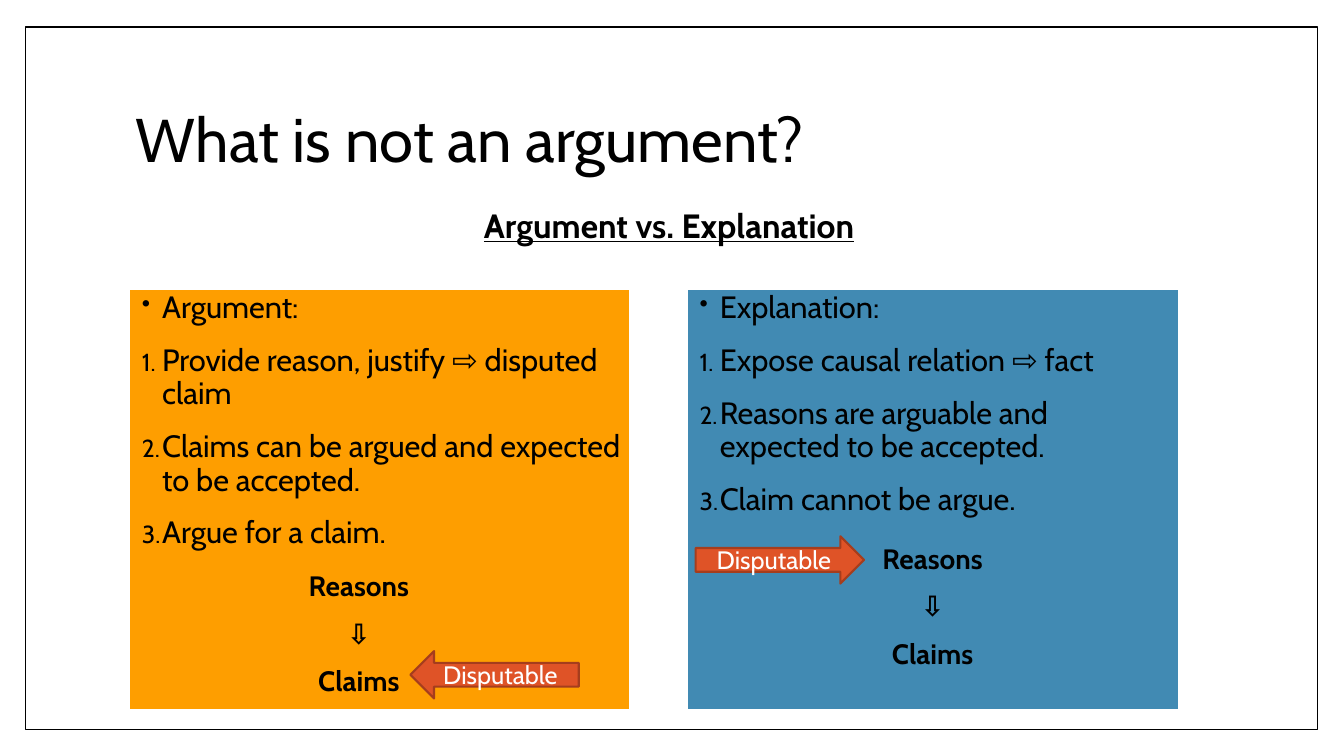
"""Build the slide that contrasts an argument with an explanation."""
from lxml import etree
from pptx import Presentation, util as u
from pptx.dml.color import RGBColor
from pptx.enum import shapes, text
from pptx.oxml import ns

COLORS = {
    "black": "000000",
    "white": "FFFFFF",
    "orange": "FE9E00",
    "blue": "418AB3",
    "red": "DF5327",
    "dark_red": "A53D1D",
}
FLOW = ["Reasons", "⇩", "Claims"]


def color(name):
    """Return the named colour."""
    return RGBColor.from_string(COLORS[name])


def add_bullet(paragraph, tag, **attributes):
    """Give a paragraph a hanging bullet or number."""
    properties = paragraph._p.get_or_add_pPr()
    properties.set("marL", str(u.Inches(0.25)))
    properties.set("indent", str(u.Inches(-0.2)))
    bullet_color = etree.SubElement(properties, ns.qn("a:buClr"))
    etree.SubElement(bullet_color, ns.qn("a:srgbClr"), val=COLORS["black"])
    etree.SubElement(properties, ns.qn("a:buSzPct"), val="80000")
    etree.SubElement(properties, ns.qn(tag), **attributes)


def write(shape, lines, size, ink="black", bold=False, underline=False, align="LEFT",
          anchor="TOP", wrap=True, spacing=1.0, before=0):
    """Fill a shape with formatted paragraphs and return them."""
    frame = shape.text_frame
    frame.word_wrap = wrap
    frame.vertical_anchor = text.MSO_ANCHOR[anchor]
    frame.text = "\n".join(lines)
    for paragraph in frame.paragraphs:
        paragraph.alignment = text.PP_ALIGN[align]
        paragraph.line_spacing = spacing
        paragraph.space_before = u.Pt(before)
        font = paragraph.runs[0].font
        font.name, font.size = "Cabin", u.Pt(size)
        font.bold, font.underline = bold, underline
        font.color.rgb = color(ink)
    return frame.paragraphs


def add_box(slide, kind, place, fill, line, width):
    """Add a filled preset shape with an outline."""
    shape = slide.shapes.add_shape(shapes.MSO_SHAPE[kind], *map(u.Inches, place))
    shape.shadow.inherit = False
    shape.fill.solid()
    shape.fill.fore_color.rgb = color(fill)
    shape.line.color.rgb = color(line)
    shape.line.width = u.Pt(width)
    return shape


def add_label(slide, place, lines, size, **style):
    """Add a text box."""
    write(slide.shapes.add_textbox(*map(u.Inches, place)), lines, size, **style)


def add_panel(slide, left, width, fill, heading, points):
    """Add a coloured panel with a bulleted heading and numbered points."""
    panel = add_box(slide, "RECTANGLE", (left, 2.85, width, 4.21), fill, "white", 4.25)
    first, *numbered = write(panel, [heading, *points], 22, spacing=0.9, before=14)
    add_bullet(first, "a:buChar", char="•")
    for paragraph in numbered:
        add_bullet(paragraph, "a:buAutoNum", type="arabicPeriod")


def add_flow(slide, left, top):
    """Add the column that leads from reasons to claims."""
    add_label(slide, (left, top, 2.2, 1.61), FLOW, 20, bold=True, align="CENTER", before=10)


def add_arrow(slide, kind, left, top):
    """Add a block arrow that marks the disputable part."""
    arrow = add_box(slide, kind, (left, top, 1.67, 0.47), "red", "dark_red", 1.5)
    write(arrow, ["Disputable"], 18, ink="white", align="CENTER", anchor="MIDDLE")


def main():
    """Build and save the slide."""
    presentation = Presentation()
    presentation.slide_width = u.Inches(13.33)
    presentation.slide_height = u.Inches(7.5)
    slide = presentation.slides.add_slide(presentation.slide_layouts[6])

    add_box(slide, "RECTANGLE", (0.25, 0.27, 12.82, 6.97), "white", "black", 1)
    add_label(slide, (1.25, 0.67, 10.8, 1.48), ["What is not an argument?"], 44,
              anchor="MIDDLE", spacing=0.9)
    add_panel(slide, 1.26, 5.01, "orange", "Argument:", [
        "Provide reason, justify ⇨ disputed claim",
        "Claims can be argued and expected to be accepted.",
        "Argue for a claim.",
    ])
    add_panel(slide, 6.79, 4.92, "blue", "Explanation:", [
        "Expose causal relation ⇨ fact",
        "Reasons are arguable and expected to be accepted.",
        "Claim cannot be argue.",
    ])
    add_label(slide, (4.64, 1.98, 3.99, 0.5), ["Argument vs. Explanation"], 24,
              bold=True, underline=True, align="CENTER", wrap=False)
    add_flow(slide, 2.46, 5.59)
    add_flow(slide, 8.15, 5.32)
    add_arrow(slide, "LEFT_ARROW", 4.07, 6.46)
    add_arrow(slide, "RIGHT_ARROW", 6.9, 5.32)

    presentation.save("out.pptx")


if __name__ == "__main__":
    main()
